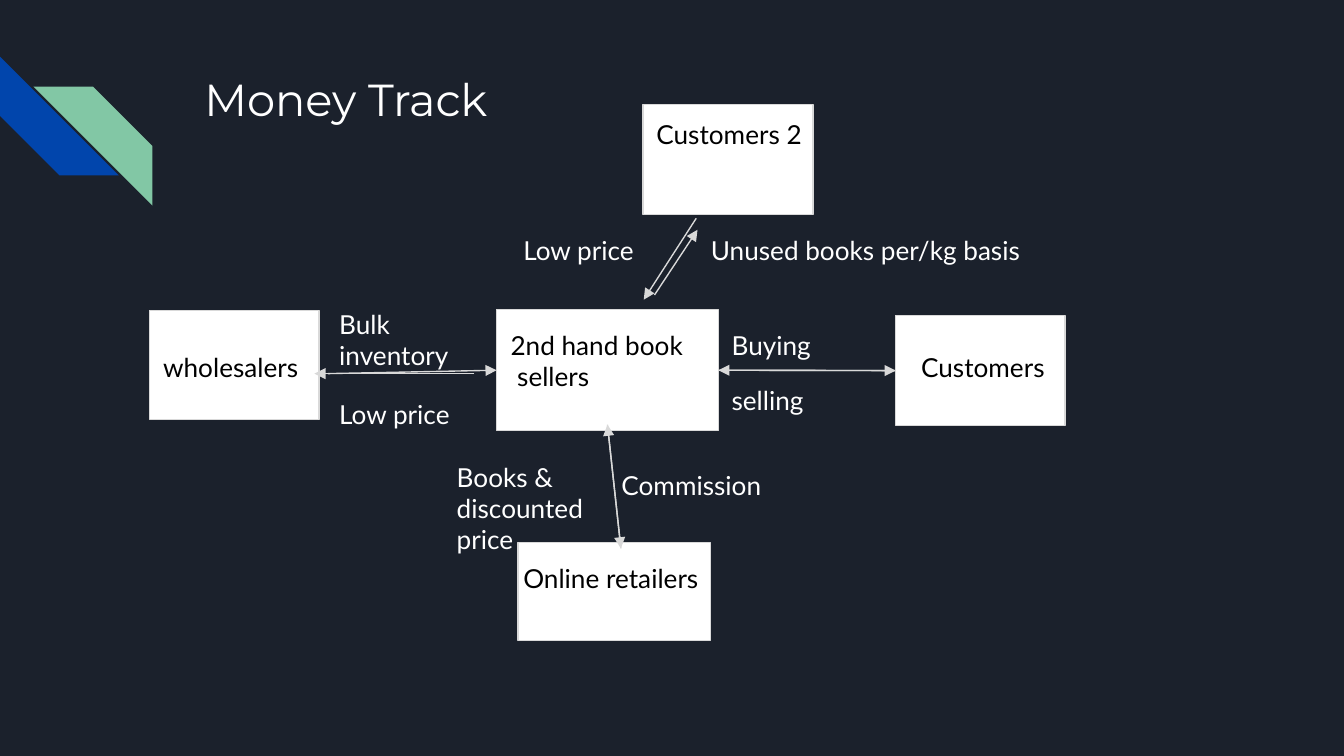
import pptx
import pptx.util
import pptx.dml.color
import pptx.enum.shapes
import pptx.enum.text
import pptx.oxml
import pptx.oxml.ns
from dataclasses import dataclass

PX = 4572
SLIDE_SIZE = (2000, 1125)
INSET = 20


@dataclass(frozen=True)
class Theme:
    background: str = "1B212C"
    blue: str = "0145AC"
    green: str = "82C7A5"
    light: str = "FFFFFF"
    dark: str = "000000"
    line: str = "D9D9D9"
    line_width: float = 0.75
    title_font: str = "Montserrat"
    body_font: str = "Lato"
    title_size: int = 24
    body_size: int = 14


THEME = Theme()

TITLE = ("Money Track", (284, 87, 1540, 200))

STRIPES = [
    ((0, 84, 177, 177), THEME.blue, 270, False),
    ((50, 129, 177, 177), THEME.green, 0, True),
]

PARTIES = {
    "sellers": ((739, 461, 330, 180), "2nd hand book\n sellers", (740, 470, 330, 162)),
    "customers": ((1333, 470, 252, 163), "Customers", (1351, 503, 540, 162)),
    "wholesalers": ((223, 462, 252, 162), "wholesalers", (223, 503, 330, 162)),
    "retailers": ((771, 807, 286, 146), "Online retailers", (759, 817, 330, 162)),
    "customers 2": ((957, 156, 253, 163), "Customers 2", (957, 156, 330, 162)),
}

TOP, LEFT, BOTTOM, RIGHT = range(4)
SELLERS_RIGHT = ("sellers", RIGHT)
CUSTOMERS_LEFT = ("customers", LEFT)

ARROWS = [
    ((1036, 325), (958, 446)),
    (CUSTOMERS_LEFT, SELLERS_RIGHT),
    (SELLERS_RIGHT, CUSTOMERS_LEFT),
    ((488, 556), ("sellers", LEFT)),
    ((706, 556), (468, 556)),
    ((904, 632), (924, 816)),
    ((924, 816), (904, 632)),
    ((974, 439), (1038, 342)),
]

LABEL_SIZE = (264, 162)
LABELS = [
    ("Unused books per/kg basis", (1038, 329), (1396, 162)),
    ("Low price", (759, 329), LABEL_SIZE),
    ("Bulk inventory", (485, 439), LABEL_SIZE),
    ("Books & discounted price", (660, 666), LABEL_SIZE),
    ("Low price", (485, 573), LABEL_SIZE),
    ("Commission", (905, 679), LABEL_SIZE),
    ("Buying", (1069, 470), LABEL_SIZE),
    ("selling", (1069, 552), LABEL_SIZE),
]


def emu(lengths):
    return [pptx.util.Emu(length * PX) for length in lengths]


def rgb(value):
    return pptx.dml.color.RGBColor.from_string(value)


def write(shape, text, font, size, color):
    frame = shape.text_frame
    frame.text = text
    frame.word_wrap = True
    frame.auto_size = pptx.enum.text.MSO_AUTO_SIZE.NONE
    frame.vertical_anchor = pptx.enum.text.MSO_ANCHOR.TOP
    inset = pptx.util.Emu(INSET * PX)
    frame.margin_left = frame.margin_right = inset
    frame.margin_top = frame.margin_bottom = inset
    for paragraph in frame.paragraphs:
        paragraph.alignment = pptx.enum.text.PP_ALIGN.LEFT
        for run in paragraph.runs:
            run.font.name = font
            run.font.size = pptx.util.Pt(size)
            run.font.color.rgb = rgb(color)


def add_title(slide, text, bounds):
    title = slide.shapes.title
    title.left, title.top, title.width, title.height = emu(bounds)
    write(title, text, THEME.title_font, THEME.title_size, THEME.light)


def add_text(slide, text, bounds, color):
    box = slide.shapes.add_textbox(*emu(bounds))
    write(box, text, THEME.body_font, THEME.body_size, color)


def add_filled(slide, kind, bounds, color):
    shape = slide.shapes.add_shape(kind, *emu(bounds))
    shape.shadow.inherit = False
    shape.fill.solid()
    shape.fill.fore_color.rgb = rgb(color)
    return shape


def add_stripe(slide, bounds, color, rotation, flipped):
    kind = pptx.enum.shapes.MSO_SHAPE.DIAGONAL_STRIPE
    stripe = add_filled(slide, kind, bounds, color)
    stripe.line.fill.background()
    stripe.rotation = rotation
    if flipped:
        stripe.element.spPr.find(pptx.oxml.ns.qn("a:xfrm")).set("flipH", "1")


def style_line(line):
    line.color.rgb = rgb(THEME.line)
    line.width = pptx.util.Pt(THEME.line_width)


def add_party(slide, bounds, text, text_bounds):
    kind = pptx.enum.shapes.MSO_SHAPE.RECTANGLE
    box = add_filled(slide, kind, bounds, THEME.light)
    style_line(box.line)
    add_text(slide, text, text_bounds, THEME.dark)
    return box


def add_arrow(slide, boxes, start, end):
    def is_joined(point):
        return point[0] in boxes

    free = [(0, 0) if is_joined(point) else point for point in (start, end)]
    arrow = slide.shapes.add_connector(
        pptx.enum.shapes.MSO_CONNECTOR.STRAIGHT, *emu(free[0] + free[1])
    )
    for point, connect in ((start, arrow.begin_connect), (end, arrow.end_connect)):
        if is_joined(point):
            name, side = point
            connect(boxes[name], side)
    style_line(arrow.line)
    properties = arrow.element.spPr
    namespace = pptx.oxml.ns.nsdecls("a")
    head = pptx.oxml.parse_xml(f'<a:tailEnd {namespace} type="triangle"/>')
    properties.find(pptx.oxml.ns.qn("a:ln")).append(head)
    properties.append(pptx.oxml.parse_xml(f"<a:effectLst {namespace}/>"))


def main():
    presentation = pptx.Presentation()
    presentation.slide_width, presentation.slide_height = emu(SLIDE_SIZE)
    slide = presentation.slides.add_slide(presentation.slide_layouts[5])
    slide.background.fill.solid()
    slide.background.fill.fore_color.rgb = rgb(THEME.background)

    add_title(slide, *TITLE)
    for stripe in STRIPES:
        add_stripe(slide, *stripe)
    boxes = {name: add_party(slide, *party) for name, party in PARTIES.items()}
    for start, end in ARROWS:
        add_arrow(slide, boxes, start, end)
    for text, position, size in LABELS:
        add_text(slide, text, position + size, THEME.light)

    presentation.save("out.pptx")


if __name__ == "__main__":
    main()
